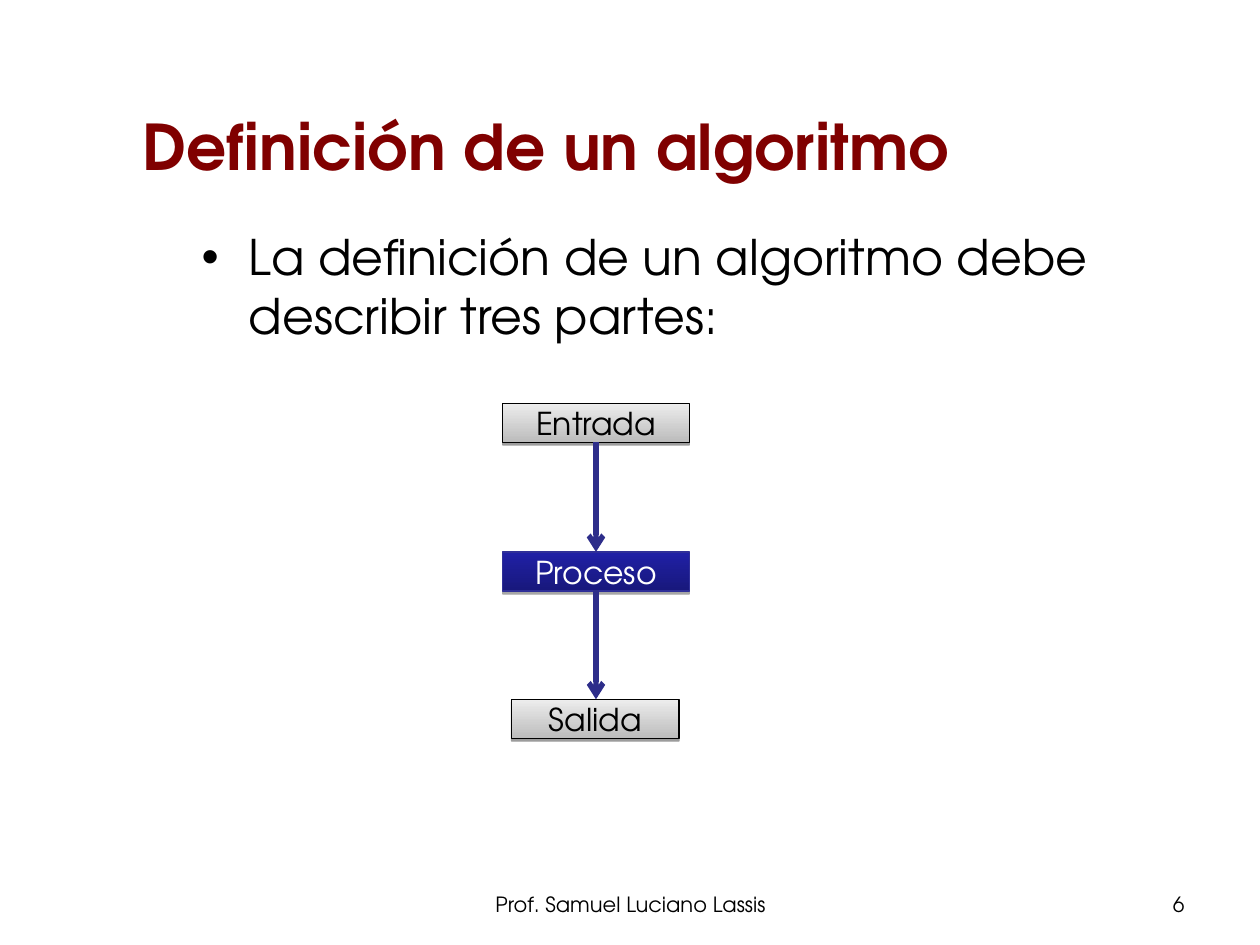
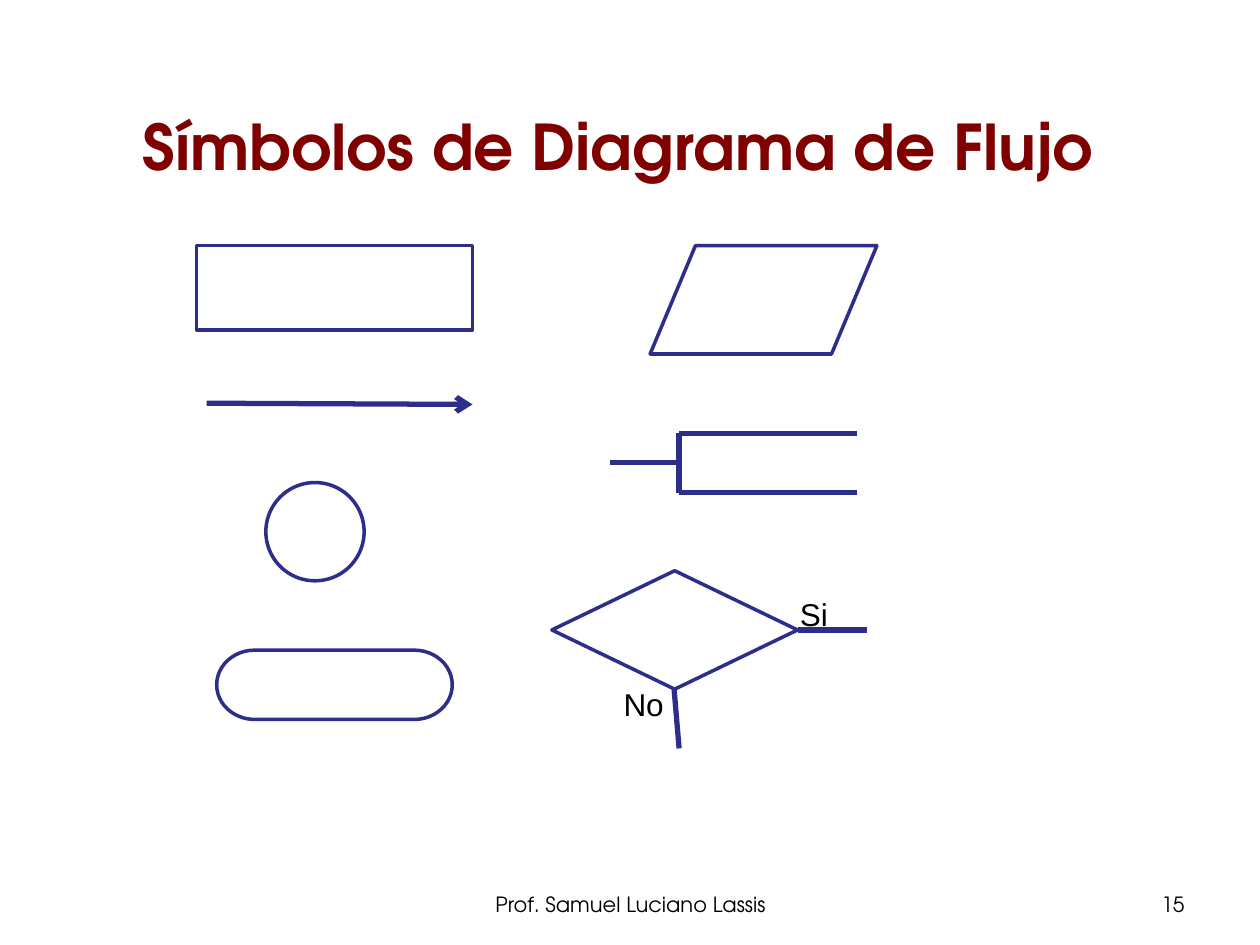
from lxml import etree
from pptx import Presentation
from pptx import util as u
from pptx.dml import color
from pptx.enum import shapes, text
from pptx.oxml import ns

MAROON = color.RGBColor(0x80, 0x00, 0x00)
BLACK = color.RGBColor(0x00, 0x00, 0x00)
WHITE = color.RGBColor(0xFF, 0xFF, 0xFF)
INDIGO = color.RGBColor(0x2D, 0x2D, 0x8A)
BLUE_EDGE = color.RGBColor(0x2F, 0x2F, 0x98)
GREYS = (color.RGBColor(0xBC, 0xBC, 0xBC), color.RGBColor(0xED, 0xED, 0xED))
BLUES = (color.RGBColor(0x18, 0x18, 0x7C), color.RGBColor(0x20, 0x20, 0xA6))

MAIN_FONT = "TeX Gyre Adventor"
LABEL_FONT = "Arial"
AUTHOR = "Prof. Samuel Luciano Lassis"
LEFT, CENTER, RIGHT = (text.PP_ALIGN.LEFT, text.PP_ALIGN.CENTER, text.PP_ALIGN.RIGHT)
PLACEHOLDER_INSETS = (0.07, 0.05)
BOX_INSETS = (0.1, 0.05)

TITLE_FORMAT = {"name": MAIN_FONT, "size": u.Pt(36), "bold": True}
BODY_FORMAT = {"name": MAIN_FONT, "size": u.Pt(28)}
FOOTER_FORMAT = {"name": MAIN_FONT, "size": u.Pt(12)}
STEP_FORMAT = {"name": MAIN_FONT, "size": u.Pt(18)}
LABEL_FORMAT = {"name": LABEL_FONT, "size": u.Pt(18)}


def inches(*values):
    return [u.Inches(round(value, 2)) for value in values]


def set_values(target, values):
    for name, value in values.items():
        setattr(target, name, value)


def add_xml(parent, tag, **attributes):
    return etree.SubElement(parent, ns.qn(tag), attributes)


def place(shape, box):
    set_values(shape, dict(zip(("left", "top", "width", "height"), inches(*box))))


def write(shape, words, font_format, font_color, align=LEFT, insets=BOX_INSETS,
          anchor=text.MSO_ANCHOR.TOP, wrap=True):
    side, end = inches(*insets)
    frame = shape.text_frame
    set_values(frame, {
        "text": words, "word_wrap": wrap, "vertical_anchor": anchor,
        "auto_size": text.MSO_AUTO_SIZE.NONE,
        "margin_left": side, "margin_right": side,
        "margin_top": end, "margin_bottom": end,
    })
    paragraph = frame.paragraphs[0]
    set_values(paragraph, {"alignment": align, "space_before": u.Pt(0)})
    font = paragraph.runs[0].font
    set_values(font, font_format)
    font.color.rgb = font_color


def add_text(slide, box, *args, **kwargs):
    write(slide.shapes.add_textbox(*inches(*box)), *args, **kwargs)


def add_line(parent, start, end, arrow=False):
    connector = parent.shapes.add_connector(
        shapes.MSO_CONNECTOR.STRAIGHT, *inches(*start, *end))
    connector.line.color.rgb = INDIGO
    connector.line.width = u.Pt(3)
    if arrow:
        add_xml(connector.line._get_or_add_ln(), "a:tailEnd", type="arrow")
    add_xml(connector.element.spPr, "a:effectLst")


def add_title(slide, words, box):
    place(slide.shapes.title, box)
    write(slide.shapes.title, words, TITLE_FORMAT, MAROON,
          insets=PLACEHOLDER_INSETS, anchor=text.MSO_ANCHOR.MIDDLE)


def add_bullet_body(slide, words, box):
    body = slide.placeholders[1]
    place(body, box)
    body.text_frame.text = words
    properties = body.text_frame.paragraphs[0]._p.get_or_add_pPr()
    indent = u.Inches(0.38)
    properties.set("marL", str(indent))
    properties.set("indent", str(-indent))
    bullet_color = add_xml(properties, "a:buClr")
    add_xml(bullet_color, "a:srgbClr", val=str(BLACK))
    add_xml(properties, "a:buFont", typeface=LABEL_FONT)
    add_xml(properties, "a:buChar", char="▪")
    write(body, words, BODY_FORMAT, BLACK, insets=PLACEHOLDER_INSETS)


def add_footer(slide, number):
    add_text(slide, (3.42, 7.03, 3.17, 0.35), AUTHOR, FOOTER_FORMAT, BLACK, CENTER)
    add_text(slide, (7.17, 7.03, 2.33, 0.35), str(number), FOOTER_FORMAT, BLACK, RIGHT)


def add_step(group, words, box, gradient, edge, font_color, shadow):
    step = group.shapes.add_shape(shapes.MSO_SHAPE.RECTANGLE, *inches(*box))
    step.fill.gradient()
    step.fill.gradient_angle = 90
    for stop, stop_color in zip(step.fill.gradient_stops, gradient):
        stop.color.rgb = stop_color
    for stop, position in zip(step.fill.gradient_stops, (0, 1)):
        stop.position = position
    step.line.color.rgb = edge
    step.line.width = u.Pt(0.75)
    step.shadow.inherit = False
    opacity, distance = shadow
    effects = step.element.spPr.find(ns.qn("a:effectLst"))
    outer = add_xml(effects, "a:outerShdw", blurRad="0", dist=str(u.Pt(distance)),
                    dir="5400000", rotWithShape="0")
    shadow_color = add_xml(outer, "a:srgbClr", val=str(BLACK))
    add_xml(shadow_color, "a:alpha", val=str(opacity * 1000))
    write(step, words, STEP_FORMAT, font_color, CENTER, anchor=text.MSO_ANCHOR.MIDDLE)


def add_process_flow(slide, box):
    left, top, width, height = box
    step_height = 0.31
    grey_style = (GREYS, BLACK, BLACK, (38, 1.6))
    blue_style = (BLUES, BLUE_EDGE, WHITE, (35, 1.8))
    steps = (("Entrada", width, grey_style), ("Proceso", width, blue_style),
             ("Salida", 1.33, grey_style))
    pitch = (height - step_height) / (len(steps) - 1)
    center = left + width / 2 + 0.01
    group = slide.shapes.add_group_shape()
    for index, (words, step_width, style) in enumerate(steps):
        step_box = (center - step_width / 2, top + index * pitch, step_width, step_height)
        add_step(group, words, step_box, *style)
    for index in range(len(steps) - 1):
        start = top + index * pitch + step_height
        end = top + (index + 1) * pitch
        add_line(group, (center, start), (center, end), arrow=True)


def add_flow_symbols(slide, box):
    left, top = box[:2]
    kinds = shapes.MSO_SHAPE
    symbols = (
        (kinds.FLOWCHART_PROCESS, 0, 0, 2.19, 0.67),
        (kinds.FLOWCHART_DECISION, 2.82, 2.58, 1.95, 0.94),
        (kinds.FLOWCHART_TERMINATOR, 0.16, 3.21, 1.87, 0.55),
        (kinds.FLOWCHART_DATA, 3.6, 0, 1.8, 0.86),
        (kinds.FLOWCHART_CONNECTOR, 0.55, 1.88, 0.78, 0.78),
    )
    for kind, x, y, width, height in symbols:
        symbol = slide.shapes.add_shape(kind, *inches(left + x, top + y, width, height))
        symbol.fill.solid()
        symbol.fill.fore_color.rgb = WHITE
        symbol.line.color.rgb = INDIGO
        symbol.line.width = u.Pt(2)
        symbol.shadow.inherit = False

    flow_arrow = (0.08, 1.25, 2.19, 1.26)
    bracket = ((3.83, 1.49, 5.24, 1.49), (3.83, 1.96, 5.24, 1.96),
               (3.83, 1.49, 3.83, 1.96), (3.83, 1.72, 3.28, 1.72))
    branches = ((3.79, 3.52, 3.83, 3.99), (5.32, 3.05, 4.77, 3.05))
    for line in (flow_arrow, *bracket, *branches):
        x1, y1, x2, y2 = line
        add_line(slide, (left + x1, top + y1), (left + x2, top + y2),
                 arrow=line is flow_arrow)

    for words, x, y, width in (("Si", 4.69, 2.72, 0.42), ("No", 3.29, 3.44, 0.52)):
        add_text(slide, (left + x, top + y, width, 0.4), words, LABEL_FORMAT, BLACK,
                 wrap=False)


def add_definition_slide(presentation):
    slide = presentation.slides.add_slide(presentation.slide_layouts[1])
    add_title(slide, "Definición de un algoritmo", (1.06, 0.75, 7.75, 0.8))
    add_bullet_body(slide, "La definición de un algoritmo debe describir tres partes:",
                    (1.53, 1.75, 7.69, 1.22))
    add_footer(slide, 6)
    add_process_flow(slide, (3.98, 3.2, 1.48, 2.66))


def add_symbols_slide(presentation):
    slide = presentation.slides.add_slide(presentation.slide_layouts[5])
    add_title(slide, "Símbolos de Diagrama de Flujo", (1.06, 0.75, 8.31, 0.8))
    add_footer(slide, 15)
    add_flow_symbols(slide, (1.56, 1.95, 5.4, 3.99))


def main():
    presentation = Presentation()
    presentation.slide_width, presentation.slide_height = inches(10, 7.5)
    add_definition_slide(presentation)
    add_symbols_slide(presentation)
    presentation.save("out.pptx")


if __name__ == "__main__":
    main()
